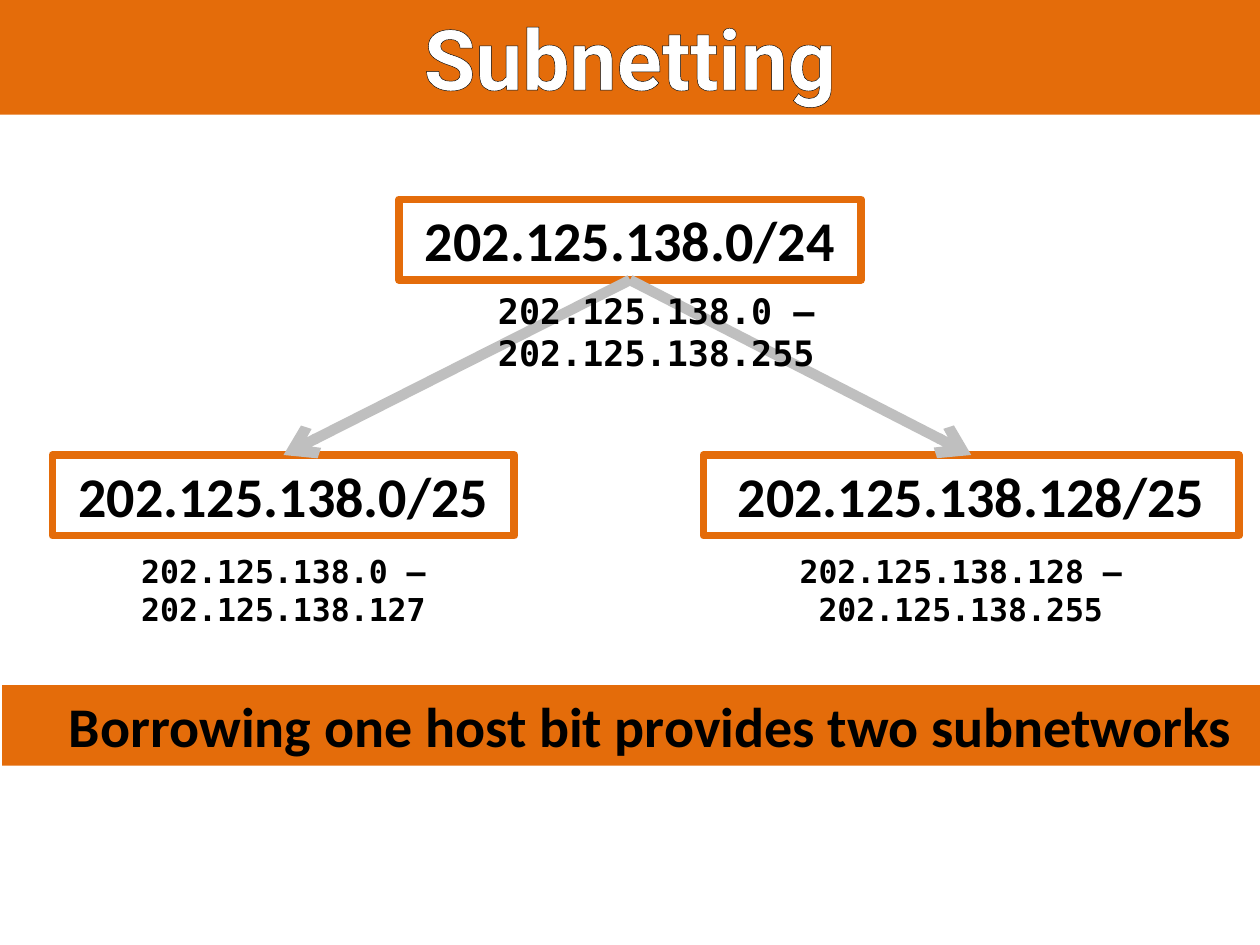
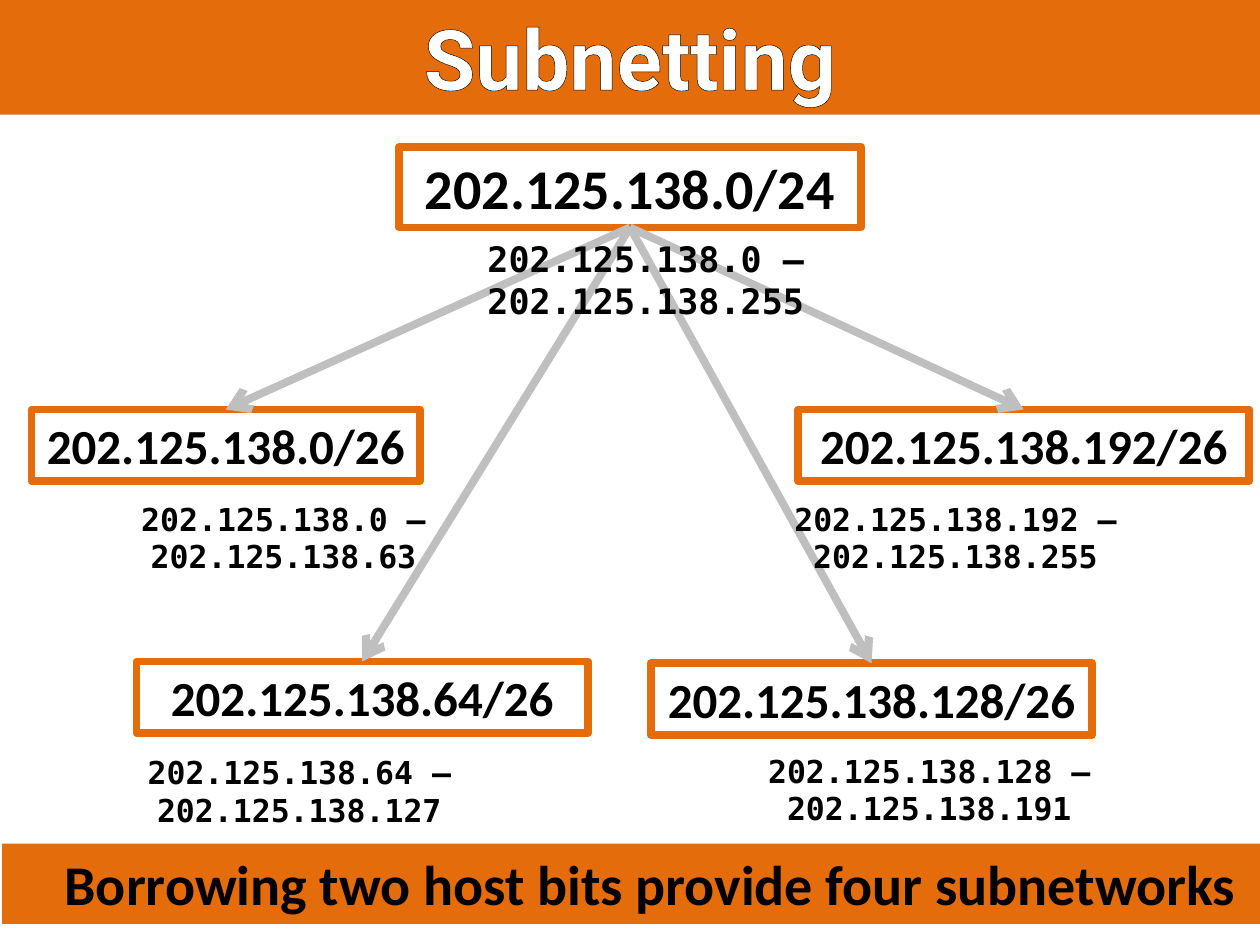
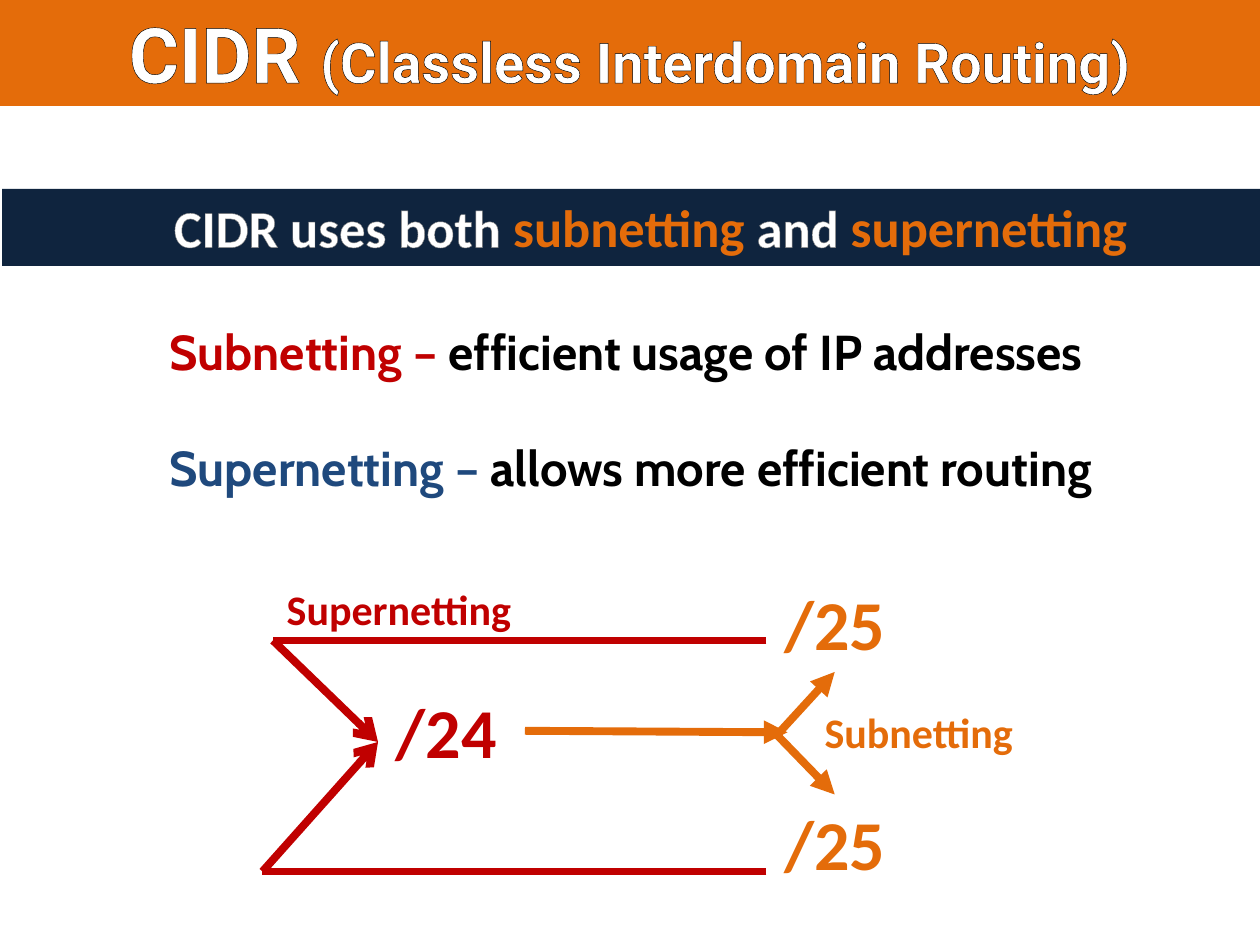
"""Builds three slides on subnetting and CIDR."""
from lxml import etree
from pptx import Presentation
from pptx.dml.color import RGBColor
from pptx.enum.shapes import MSO_CONNECTOR, MSO_SHAPE
from pptx.enum.text import MSO_ANCHOR, PP_ALIGN
from pptx.oxml.ns import qn
from pptx.util import Pt

RECT = MSO_SHAPE.RECTANGLE
STRAIGHT = MSO_CONNECTOR.STRAIGHT
TOP = MSO_ANCHOR.TOP
LEFT, CENTER = PP_ALIGN.LEFT, PP_ALIGN.CENTER
BOTTOM_SITE, TOP_SITE = 2, 0

WIDTH, HEIGHT = 720, 540
ORANGE, NAVY, RED, BLUE = "E46C0A", "0F243E", "C00000", "1F497D"
BLACK, WHITE, GREY, SILVER = "000000", "FFFFFF", "808080", "BFBFBF"
TITLE_FONT, BODY_FONT, MONO_FONT, TERM_FONT = "Roboto", "Calibri", "DejaVu Sans Mono", "Cabin"
BANNER_INDENT = 22.3

TREES = [
    {
        "root": ("202.125.138.0/24", 114),
        "children": [
            ("202.125.138.0/25", 30, 260, 264),
            ("202.125.138.128/25", 402, 260, 306),
        ],
        "child_size": 32, "child_height": 46, "arrow_width": 6,
        "root_range": ("202.125.138.0 – 202.125.138.255", 186, 162, 378),
        "ranges": [
            ("202.125.138.0 – 202.125.138.127", 0, 312, 324),
            ("202.125.138.128 – 202.125.138.255", 378, 312, 342),
        ],
        "banner": ("Borrowing one host bit provides two subnetworks", 391.5),
    },
    {
        "root": ("202.125.138.0/24", 84),
        "children": [
            ("202.125.138.0/26", 18, 234, 222),
            ("202.125.138.64/26", 78, 378, 258),
            ("202.125.138.128/26", 372, 379, 252),
            ("202.125.138.192/26", 456, 234, 258),
        ],
        "child_size": 28, "child_height": 41, "arrow_width": 4.5,
        "root_range": ("202.125.138.0 – 202.125.138.255", 180, 132, 378),
        "ranges": [
            ("202.125.138.0 – 202.125.138.63", 0, 282, 324),
            ("202.125.138.64 – 202.125.138.127", 0, 427, 342),
            ("202.125.138.128 – 202.125.138.191", 360, 426, 342),
            ("202.125.138.192 – 202.125.138.255", 372, 282, 348),
        ],
        "banner": ("Borrowing two host bits provide four subnetworks", 482),
    },
]

CIDR_TITLE = [("CIDR ", WHITE, 44), ("(Classless Interdomain Routing)", WHITE, 32)]
CIDR_BANNER = [("CIDR uses both ", WHITE, 30), ("subnetting ", ORANGE, 30),
               ("and ", WHITE, 30), ("supernetting", ORANGE, 30)]
TERMS = [
    [("Subnetting – ", RED, 28), ("efficient usage of IP addresses", BLACK, 28)],
    [("Supernetting – ", BLUE, 28), ("allows more efficient routing", BLACK, 28)],
]
FLOW_LABELS = [
    ("/25", ORANGE, 40, (432, 328, 90, 55)),
    ("/25", ORANGE, 40, (432, 454, 90, 55)),
    ("Subnetting", ORANGE, 24, (450, 400, 150, 36)),
    ("Supernetting", RED, 24, (156, 330, 144, 36)),
    ("/24", RED, 40, (210, 390, 90, 55)),
]
FLOW_LINES = [
    ((300, 417.6), (450, 418.5), ORANGE, "triangle"),
    ((444, 420), (477, 384), ORANGE, "triangle"),
    ((444, 420), (477, 454), ORANGE, "triangle"),
    ((438, 366), (156, 366), RED, None),
    ((438, 498), (150, 498), RED, None),
    ((150, 498), (216, 424), RED, "arrow"),
    ((156, 366), (216, 424), RED, "arrow"),
]


def rgb(color):
    return RGBColor.from_string(color)


def add_color(parent, color):
    fill = etree.SubElement(parent, qn("a:solidFill"))
    return etree.SubElement(fill, qn("a:srgbClr"), val=color)


def write(sp, paragraphs, font, align=CENTER, outline=None, gap=0):
    tf = sp.text_frame
    tf.word_wrap = True
    tf.vertical_anchor = TOP
    for i, runs in enumerate(paragraphs):
        p = tf.add_paragraph() if i else tf.paragraphs[0]
        p.alignment = align
        p.space_before = Pt(gap if i else 0)
        for text, color, size in runs:
            r = p.add_run()
            r.text = text
            r.font.name, r.font.size, r.font.bold = font, Pt(size), True
            r.font.color.rgb = rgb(color)
            if outline:
                ln = etree.Element(qn("a:ln"), w=str(Pt(0.75)))
                add_color(ln, outline)
                r.font._element.insert(0, ln)


def add_text(s, box, paragraphs, font, **style):
    sp = s.shapes.add_textbox(*map(Pt, box))
    write(sp, paragraphs, font, **style)


def add_rect(s, box, fill=None, line=None):
    sp = s.shapes.add_shape(RECT, *map(Pt, box))
    sp.shadow.inherit = False
    if fill:
        sp.fill.solid()
        sp.fill.fore_color.rgb = rgb(fill)
    else:
        sp.fill.background()
    if line:
        sp.line.color.rgb = rgb(line)
        sp.line.width = Pt(4.5)
    else:
        sp.line.fill.background()
    return sp


def add_line(s, start, end, color, width, arrow=None):
    c = s.shapes.add_connector(STRAIGHT, *map(Pt, start + end))
    c.line.color.rgb = rgb(color)
    c.line.width = Pt(width)
    spPr = c._element.spPr
    if arrow:
        etree.SubElement(spPr.find(qn("a:ln")), qn("a:tailEnd"), type=arrow)
    etree.SubElement(spPr, qn("a:effectLst"))
    return c


def add_title(s, runs, height):
    sp = add_rect(s, (0, 0, WIDTH, height), fill=ORANGE)
    write(sp, [runs], TITLE_FONT, outline=BLACK)


def add_banner(s, runs, top, height, fill):
    sp = add_rect(s, (1.2, top, WIDTH - 1.2, height), fill=fill)
    effects = sp._element.spPr.find(qn("a:effectLst"))
    shadow = etree.SubElement(effects, qn("a:outerShdw"), blurRad=str(Pt(3.5)),
                              dist=str(Pt(2.2)), dir="5400000", rotWithShape="0")
    etree.SubElement(add_color(shadow, BLACK), qn("a:alpha"), val="32000")
    write(sp, [runs], BODY_FONT, outline=GREY)
    sp.text_frame.margin_left = Pt(7.2 + BANNER_INDENT)


def add_network(s, name, box, size):
    sp = add_rect(s, box, line=ORANGE)
    write(sp, [[(name, BLACK, size)]], BODY_FONT)
    return sp


def add_range(s, text, left, top, width, size):
    add_text(s, (left, top, width, 1.6 * size), [[(text, BLACK, size)]], MONO_FONT)


def build_tree(s, tree):
    add_title(s, [("Subnetting", WHITE, 48)], 65.5)
    name, top = tree["root"]
    root = add_network(s, name, (228, top, 264, 46), 32)
    children = [add_network(s, name, (x, y, w, tree["child_height"]), tree["child_size"])
                for name, x, y, w in tree["children"]]
    for child in children:
        c = add_line(s, (0, 0), (1, 1), SILVER, tree["arrow_width"], "arrow")
        c.begin_connect(root, BOTTOM_SITE)
        c.end_connect(child, TOP_SITE)
    add_range(s, *tree["root_range"], 20)
    for item in tree["ranges"]:
        add_range(s, *item, 18)
    text, top = tree["banner"]
    add_banner(s, [(text, BLACK, 32)], top, 46, ORANGE)


def build_cidr(s):
    add_title(s, CIDR_TITLE, 60.5)
    add_banner(s, CIDR_BANNER, 108, 44, NAVY)
    add_text(s, (90, 180, 570, 109), TERMS, TERM_FONT, align=LEFT, gap=33)
    for start, end, color, arrow in FLOW_LINES:
        add_line(s, start, end, color, 4.5, arrow)
    for text, color, size, box in FLOW_LABELS:
        add_text(s, box, [[(text, color, size)]], BODY_FONT, outline=BLACK)


def main():
    prs = Presentation()
    prs.slide_width, prs.slide_height = Pt(WIDTH), Pt(HEIGHT)
    blank = prs.slide_layouts[6]
    for tree in TREES:
        build_tree(prs.slides.add_slide(blank), tree)
    build_cidr(prs.slides.add_slide(blank))
    prs.save("out.pptx")


if __name__ == "__main__":
    main()
